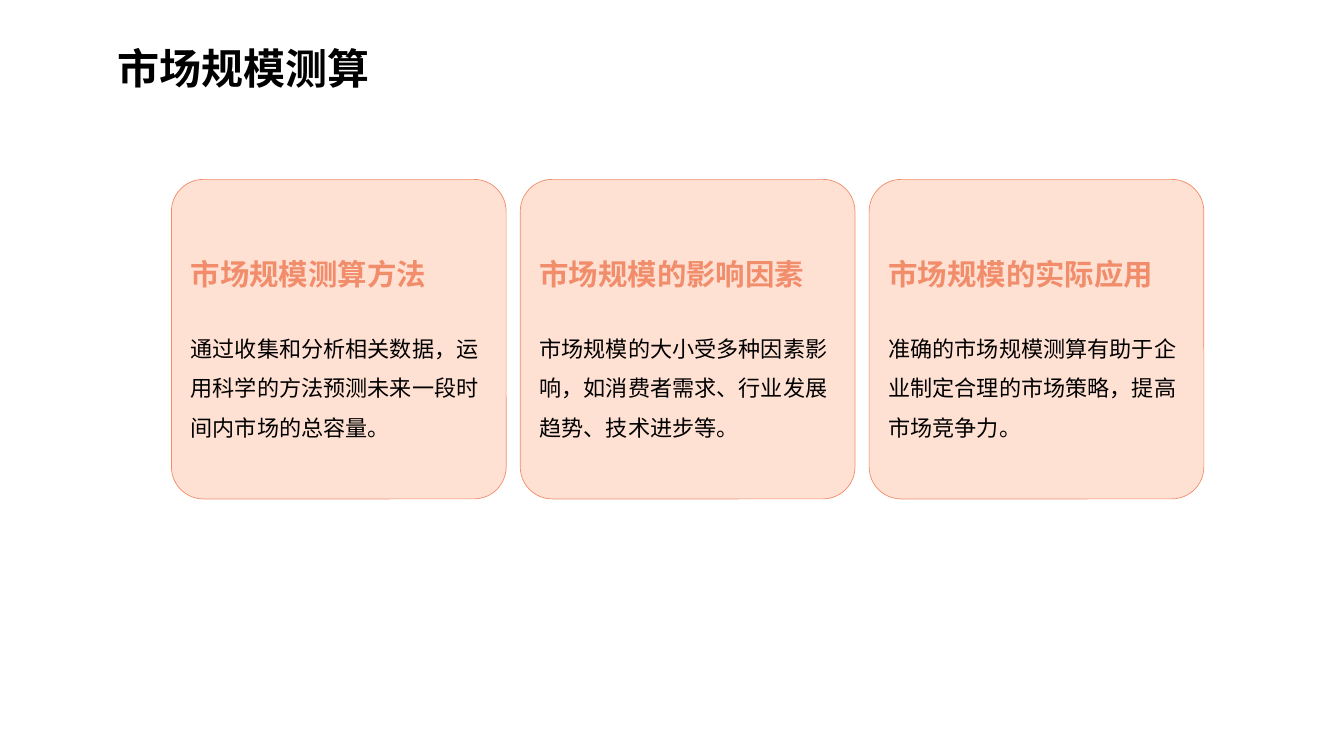
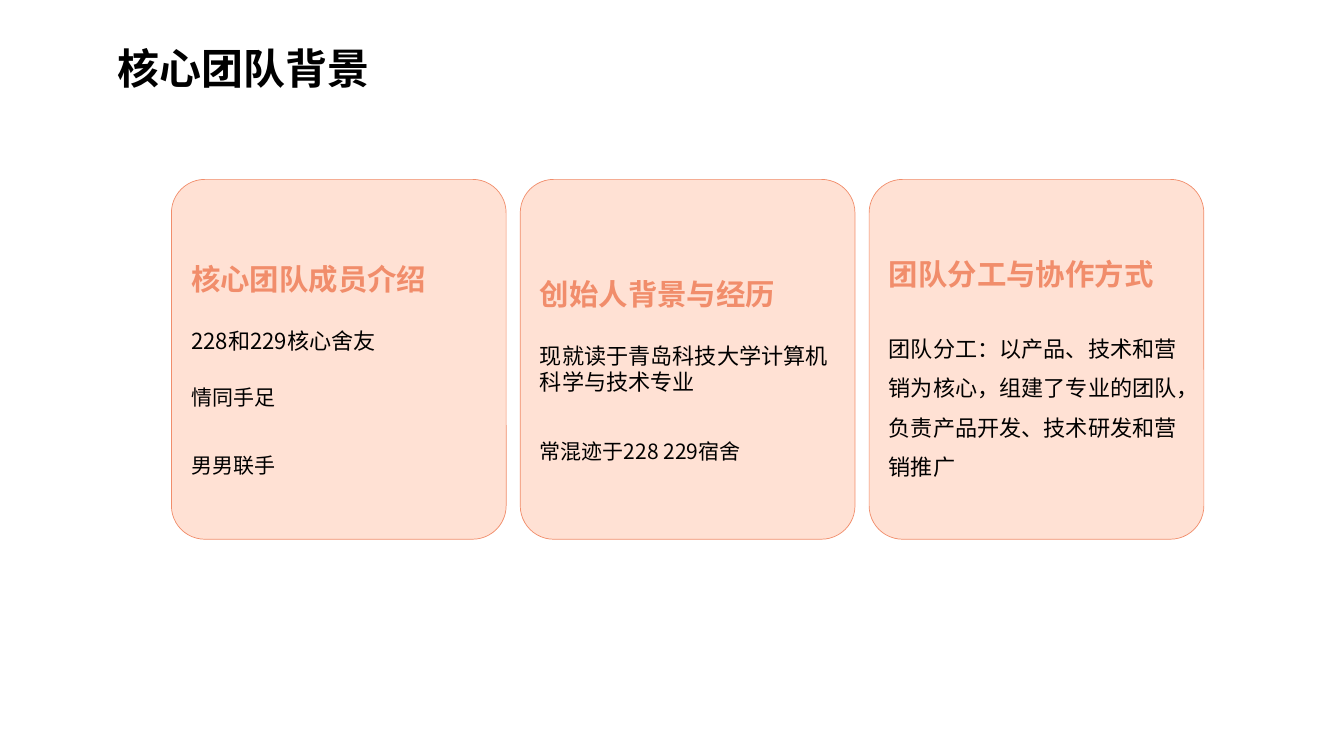
from dataclasses import dataclass

from pptx import Presentation
from pptx.dml.color import RGBColor
from pptx.enum.shapes import MSO_SHAPE as Shape
from pptx.enum.text import MSO_ANCHOR as Anchor, MSO_AUTO_SIZE as AutoSize, PP_ALIGN as Align
from pptx.oxml.ns import qn
from pptx.util import Inches, Pt

FONT = "Noto Sans CJK SC"
BLACK, ORANGE, PEACH, WHITE = "000000", "F18D6B", "FFE1D4", "FFFFFF"
CARD_LEFT, CARD_TOP, CARD_WIDTH, CARD_GAP = 1.7, 1.78, 3.32, 0.14


@dataclass(frozen=True)
class TextStyle:
    size: float
    color: str
    bold: bool = False
    line_spacing: float = 1.0
    space_before: float = 0


TITLE = TextStyle(30, BLACK, True, 1.5)
HEADING = TextStyle(21, ORANGE, True, Pt(30))
BODY = TextStyle(15.8, BLACK, False, Pt(28.2), 22)
LEAD = TextStyle(15.8, BLACK, False, Pt(18.6), 22)
NOTE = TextStyle(15, BLACK, False, Pt(18), 22)
CLOSING = TextStyle(15, BLACK, False, Pt(18), 31)


@dataclass(frozen=True)
class Card:
    heading: str
    lines: tuple[tuple[str, TextStyle], ...]
    top_inset: float = 0.6


@dataclass(frozen=True)
class CardPage:
    title: str
    card_height: float
    cards: tuple[Card, ...]


PAGES = (
    CardPage("市场规模测算", 3.17, (
        Card("市场规模测算方法", (
            ("通过收集和分析相关数据，运用科学的方法预测未来一段时间内市场的总容量。", BODY),)),
        Card("市场规模的影响因素", (
            ("市场规模的大小受多种因素影响，如消费者需求、行业发展趋势、技术进步等。", BODY),)),
        Card("市场规模的实际应用", (
            ("准确的市场规模测算有助于企业制定合理的市场策略，提高市场竞争力。", BODY),)),
    )),
    CardPage("核心团队背景", 3.57, (
        Card("核心团队成员介绍", (
            ("228和229核心舍友", LEAD), ("情同手足", NOTE), ("男男联手", CLOSING)), 0.65),
        Card("创始人背景与经历", (
            ("现就读于青岛科技大学计算机科学与技术专业", LEAD),
            ("常混迹于228 229宿舍", CLOSING)), 0.8),
        Card("团队分工与协作方式", (
            ("团队分工：以产品、技术和营销为核心，组建了专业的团队，"
             "负责产品开发、技术研发和营销推广", BODY),)),
    )),
)


def rgb(value: str) -> RGBColor:
    return RGBColor.from_string(value)


def set_attributes(target, values: dict) -> None:
    for name, value in values.items():
        setattr(target, name, value)


def write_para(para, text: str, style: TextStyle) -> None:
    set_attributes(para, {
        "alignment": Align.LEFT,
        "line_spacing": style.line_spacing,
        "space_before": Pt(style.space_before),
    })
    span = para.add_run()
    span.text = text
    set_attributes(span.font, {"name": FONT, "size": Pt(style.size), "bold": style.bold})
    span.font.color.rgb = rgb(style.color)
    # East Asian glyphs take their font from a separate element
    east_asian = span.font._element.makeelement(qn("a:ea"), {"typeface": FONT})
    span.font._element.append(east_asian)


def add_title(page, text: str) -> None:
    box = page.shapes.add_textbox(Inches(1.07), Inches(0.12), Inches(10.25), Inches(0.85))
    set_attributes(box.text_frame, {
        "word_wrap": True,
        "vertical_anchor": Anchor.MIDDLE,
        "auto_size": AutoSize.SHAPE_TO_FIT_TEXT,
    })
    write_para(box.text_frame.paragraphs[0], text, TITLE)


def add_card(page, card: Card, left: float, height: float) -> None:
    box = page.shapes.add_shape(Shape.ROUNDED_RECTANGLE, Inches(left), Inches(CARD_TOP),
                                Inches(CARD_WIDTH), Inches(height))
    box.adjustments[0] = 0.1
    box.shadow.inherit = False
    box.fill.solid()
    box.fill.fore_color.rgb = rgb(PEACH)
    box.line.color.rgb = rgb(ORANGE)
    box.line.width = Pt(0.5)
    frame = box.text_frame
    set_attributes(frame, {
        "word_wrap": True,
        "vertical_anchor": Anchor.TOP,
        "margin_top": Inches(card.top_inset),
    })
    write_para(frame.paragraphs[0], card.heading, HEADING)
    for text, style in card.lines:
        write_para(frame.add_paragraph(), text, style)


def main() -> None:
    deck = Presentation()
    set_attributes(deck, {"slide_width": Inches(13.33), "slide_height": Inches(7.5)})
    for content in PAGES:
        page = deck.slides.add_slide(deck.slide_layouts[6])
        page.background.fill.solid()
        page.background.fill.fore_color.rgb = rgb(WHITE)
        add_title(page, content.title)
        for index, card in enumerate(content.cards):
            left = CARD_LEFT + index * (CARD_WIDTH + CARD_GAP)
            add_card(page, card, left, content.card_height)
    deck.save("out.pptx")


if __name__ == "__main__":
    main()
